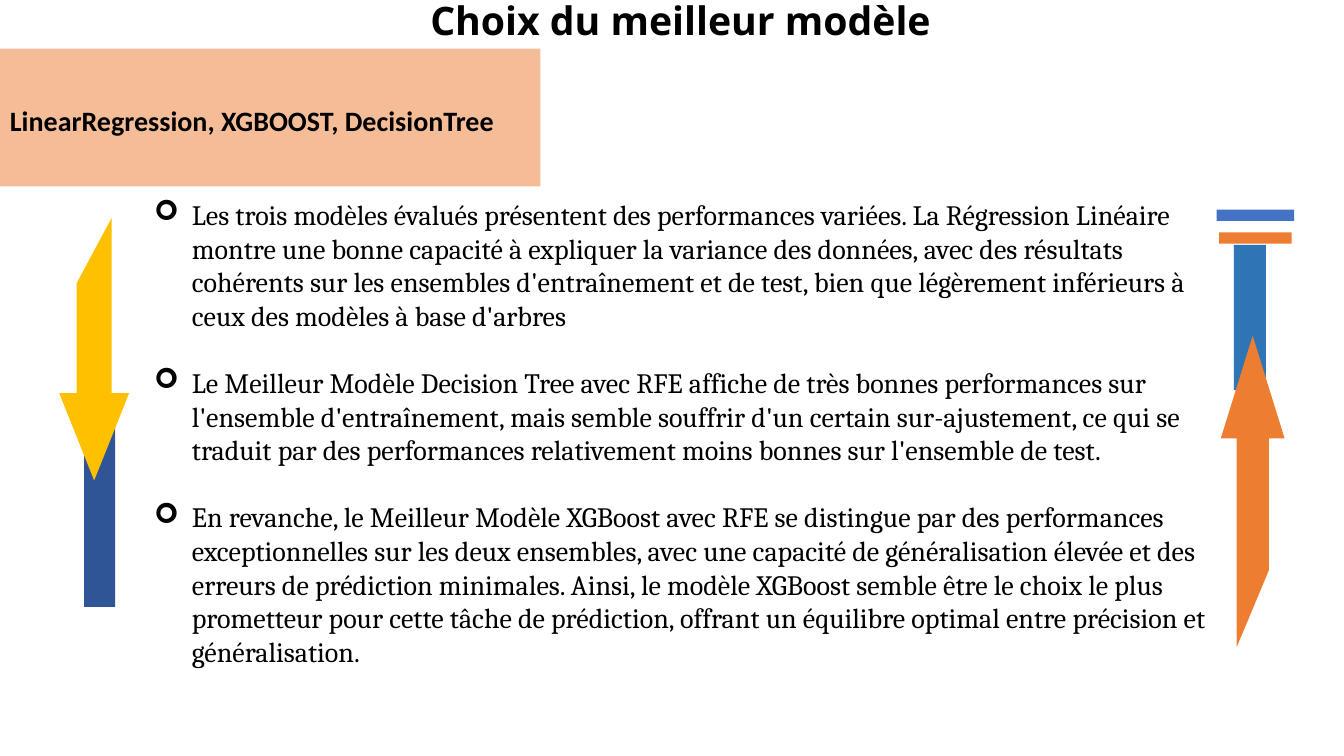
"""Build the slide on choosing the best regression model."""
from dataclasses import dataclass

from lxml.etree import SubElement
from pptx import Presentation
from pptx.dml.color import RGBColor
from pptx.enum.shapes import MSO_SHAPE
from pptx.enum.text import MSO_ANCHOR, PP_ALIGN
from pptx.oxml.ns import qn
from pptx.util import Pt

TITLE = "Choix du meilleur modèle"
MODELS = "LinearRegression, XGBOOST, DecisionTree"
FINDINGS = [
    "Les trois modèles évalués présentent des performances variées. La Régression Linéaire montre une bonne "
    "capacité à expliquer la variance des données, avec des résultats cohérents sur les ensembles "
    "d'entraînement et de test, bien que légèrement inférieurs à ceux des modèles à base d'arbres",
    "Le Meilleur Modèle Decision Tree avec RFE affiche de très bonnes performances sur l'ensemble "
    "d'entraînement, mais semble souffrir d'un certain sur-ajustement, ce qui se traduit par des "
    "performances relativement moins bonnes sur l'ensemble de test.",
    "En revanche, le Meilleur Modèle XGBoost avec RFE se distingue par des performances exceptionnelles "
    "sur les deux ensembles, avec une capacité de généralisation élevée et des erreurs de prédiction "
    "minimales. Ainsi, le modèle XGBoost semble être le choix le plus prometteur pour cette tâche de "
    "prédiction, offrant un équilibre optimal entre précision et généralisation.",
]


@dataclass(frozen=True)
class Theme:
    """Colours, fonts and type sizes of the slide."""
    ink: str = "000000"
    orange: str = "ED7D31"
    yellow: str = "FFC000"
    blue: str = "4472C4"
    sky: str = "2E75B6"
    navy: str = "2F5597"
    title_font: str = "Noto Sans"
    models_font: str = "Calibri"
    body_font: str = "Cambria"
    title_size: int = 28
    body_size: int = 20
    bullet_indent: int = 27
    finding_gap: int = 24


THEME = Theme()


def paint(shape, colour):
    shape.shadow.inherit = False
    shape.fill.solid()
    shape.fill.fore_color.rgb = RGBColor.from_string(colour)
    shape.line.fill.background()


def add_block(page, area, colour):
    block = page.shapes.add_shape(MSO_SHAPE.RECTANGLE, *map(Pt, area))
    paint(block, colour)
    return block


def add_arrow(page, centre, half_head, half_shaft, tip, neck, short_end, long_end, colour):
    """Draw a vertical arrow whose tail is cut at a slant."""
    outline = [
        (centre, tip),
        (centre - half_head, neck),
        (centre - half_shaft, neck),
        (centre - half_shaft, long_end),
        (centre + half_shaft, short_end),
        (centre + half_shaft, neck),
        (centre + half_head, neck),
    ]
    start, *others = [(Pt(x), Pt(y)) for x, y in outline]
    builder = page.shapes.build_freeform(*start)
    builder.add_line_segments(others, close=True)
    paint(builder.convert_to_shape(), colour)


def add_text(page, area, paragraphs, font, size, bold=False):
    box = page.shapes.add_textbox(*map(Pt, area))
    frame = box.text_frame
    frame.word_wrap = True
    frame.vertical_anchor = MSO_ANCHOR.TOP
    frame.text = "\n".join(paragraphs)
    for para in frame.paragraphs:
        for span in para.runs:
            span.font.name = font
            span.font.size = Pt(size)
            span.font.bold = bold
            span.font.color.rgb = RGBColor.from_string(THEME.ink)
    return frame


def add_bullets(frame):
    for position, para in enumerate(frame.paragraphs):
        if position:
            para.space_before = Pt(THEME.finding_gap)
        properties = para._p.get_or_add_pPr()
        properties.set("marL", str(Pt(THEME.bullet_indent)))
        properties.set("indent", str(-Pt(THEME.bullet_indent)))
        SubElement(properties, qn("a:buFont"), typeface="Wingdings")
        SubElement(properties, qn("a:buChar"), char="➢")


def main():
    deck = Presentation()
    deck.slide_width, deck.slide_height = Pt(960), Pt(540)
    page = deck.slides.add_slide(deck.slide_layouts[6])

    title = add_text(page, (105, -6.5, 762, 41), [TITLE], THEME.title_font, THEME.title_size, True)
    title.paragraphs[0].alignment = PP_ALIGN.CENTER

    add_block(page, (881.3, 175, 23, 103.7), THEME.sky)
    add_arrow(page, 894.8, 22.8, 11.5, 239.8, 313.2, 407.5, 462.5, THEME.orange)
    add_block(page, (60, 291, 22.3, 142.5), THEME.navy)
    add_arrow(page, 67.3, -25, -12.5, 343.2, 280.8, 202.3, 155.6, THEME.yellow)

    add_block(page, (869, 149.8, 55.4, 8), THEME.blue)
    banner = add_block(page, (0, 34.8, 386, 98.4), THEME.orange)
    tint = banner.fill._xPr.find(".//" + qn("a:srgbClr"))
    SubElement(tint, qn("a:alpha"), val="50000")
    add_block(page, (870.8, 166, 51.8, 8), THEME.orange)

    findings = add_text(page, (103, 137.5, 772.6, 346), FINDINGS, THEME.body_font, THEME.body_size)
    add_bullets(findings)
    add_text(page, (0, 70.6, 386, 31.5), [MODELS], THEME.models_font, THEME.body_size, True)

    deck.save("out.pptx")


if __name__ == "__main__":
    main()
